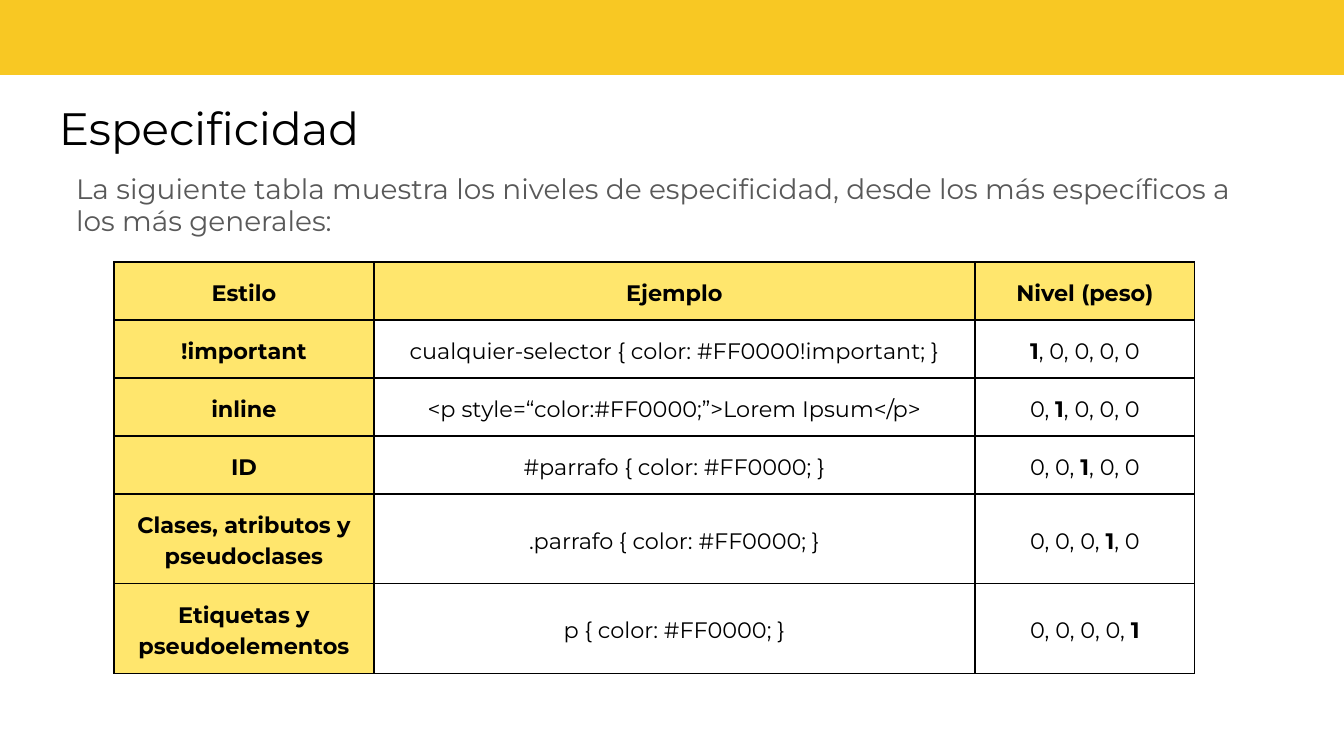
import pptx
import pptx.dml.color
import pptx.enum.shapes
import pptx.enum.text
import pptx.oxml
import pptx.oxml.ns
import pptx.util

RGB = pptx.dml.color.RGBColor
BLACK = RGB(0x00, 0x00, 0x00)
GREY = RGB(0x59, 0x59, 0x59)
GOLD = RGB(0xF8, 0xC8, 0x23)
YELLOW = RGB(0xFF, 0xE6, 0x6D)

EMU_PER_PX = 914400 / 134.4
HEADERS = ["Estilo", "Ejemplo", "Nivel (peso)"]
LEVELS = [
    ("!important", "cualquier-selector { color: #FF0000!important; }"),
    ("inline", "<p style=“color:#FF0000;”>Lorem Ipsum</p>"),
    ("ID", "#parrafo { color: #FF0000; }"),
    ("Clases, atributos y pseudoclases", ".parrafo { color: #FF0000; }"),
    ("Etiquetas y pseudoelementos", "p { color: #FF0000; }"),
]


def px(n):
    return pptx.util.Emu(round(n * EMU_PER_PX))


def weight_runs(level, count=5):
    """Return (text, bold) runs for a weight whose bold 1 stands at level."""
    runs = [("0, " * level, False), ("1", True), (", 0" * (count - level - 1), False)]
    return [run for run in runs if run[0]]


class SlideBuilder:
    font = "Montserrat"
    inset = 13

    def __init__(self, prs):
        self.slide = prs.slides.add_slide(prs.slide_layouts[5])

    def style(self, p, size, color, align=pptx.enum.text.PP_ALIGN.LEFT, spacing=1.0):
        p.font.name = self.font
        p.font.size = pptx.util.Pt(size)
        p.font.color.rgb = color
        p.alignment = align
        p.line_spacing = spacing

    def set_margins(self, obj):
        obj.margin_left = obj.margin_right = px(self.inset)
        obj.margin_top = obj.margin_bottom = px(self.inset)

    def frame(self, sp, text):
        tf = sp.text_frame
        tf.word_wrap = True
        tf.auto_size = pptx.enum.text.MSO_AUTO_SIZE.NONE
        tf.vertical_anchor = pptx.enum.text.MSO_ANCHOR.TOP
        self.set_margins(tf)
        tf.text = text
        return tf.paragraphs[0]

    def band(self, x, y, w, h, color):
        sp = self.slide.shapes.add_shape(
            pptx.enum.shapes.MSO_SHAPE.RECTANGLE, px(x), px(y), px(w), px(h))
        sp.shadow.inherit = False
        sp.fill.solid()
        sp.fill.fore_color.rgb = color
        sp.line.fill.background()

    def title(self, x, y, w, h, text):
        sp = self.slide.shapes.title
        sp.left, sp.top, sp.width, sp.height = px(x), px(y), px(w), px(h)
        self.style(self.frame(sp, text), 24.3, BLACK)

    def text(self, x, y, w, h, text):
        sp = self.slide.shapes.add_textbox(px(x), px(y), px(w), px(h))
        p = self.frame(sp, text)
        self.style(p, 15, GREY, spacing=0.95)
        p.space_after = pptx.util.Pt(12)

    def borders(self, cell):
        tc_pr = cell._tc.get_or_add_tcPr()
        for side in "LRTB":
            tc_pr.append(pptx.oxml.parse_xml(
                f'<a:ln{side} {pptx.oxml.ns.nsdecls("a")} w="9525"><a:solidFill>'
                f'<a:srgbClr val="{BLACK}"/></a:solidFill></a:ln{side}>'))

    def cell(self, cell, runs, fill=None):
        """Fill a table cell with (text, bold) runs."""
        self.set_margins(cell)
        cell.vertical_anchor = pptx.enum.text.MSO_ANCHOR.MIDDLE
        self.borders(cell)
        if fill is None:
            cell.fill.background()
        else:
            cell.fill.solid()
            cell.fill.fore_color.rgb = fill
        p = cell.text_frame.paragraphs[0]
        self.style(p, 12, BLACK, pptx.enum.text.PP_ALIGN.CENTER, 1.15)
        for text, bold in runs:
            r = p.add_run()
            r.text = text
            r.font.name = self.font
            r.font.size = pptx.util.Pt(12)
            r.font.color.rgb = BLACK
            r.font.bold = bold

    def table(self, x, y, widths, heights, rows):
        """Draw rows of run lists; the first row and column are highlighted."""
        table = self.slide.shapes.add_table(
            len(heights), len(widths), px(x), px(y), px(sum(widths)), px(sum(heights))).table
        for column, width in zip(table.columns, widths):
            column.width = px(width)
        for row, height in zip(table.rows, heights):
            row.height = px(height)
        for i, row in enumerate(rows):
            for j, runs in enumerate(row):
                self.cell(table.cell(i, j), runs, YELLOW if i == 0 or j == 0 else None)


def main():
    prs = pptx.Presentation()
    prs.slide_width, prs.slide_height = px(1344), px(756)
    s = SlideBuilder(prs)
    s.band(-1, -7, 1348, 82, GOLD)
    s.title(46, 87, 1250, 85, "Especificidad")
    s.text(63, 161, 1218, 93,
           "La siguiente tabla muestra los niveles de especificidad, "
           "desde los más específicos a los más generales:")
    rows = [[[(header, True)] for header in HEADERS]]
    for level, (name, example) in enumerate(LEVELS):
        rows.append([[(name, True)], [(example, False)], weight_runs(level)])
    s.table(114, 262, [260, 601, 220], [58] * 4 + [90] * 2, rows)
    prs.save("out.pptx")


if __name__ == "__main__":
    main()
